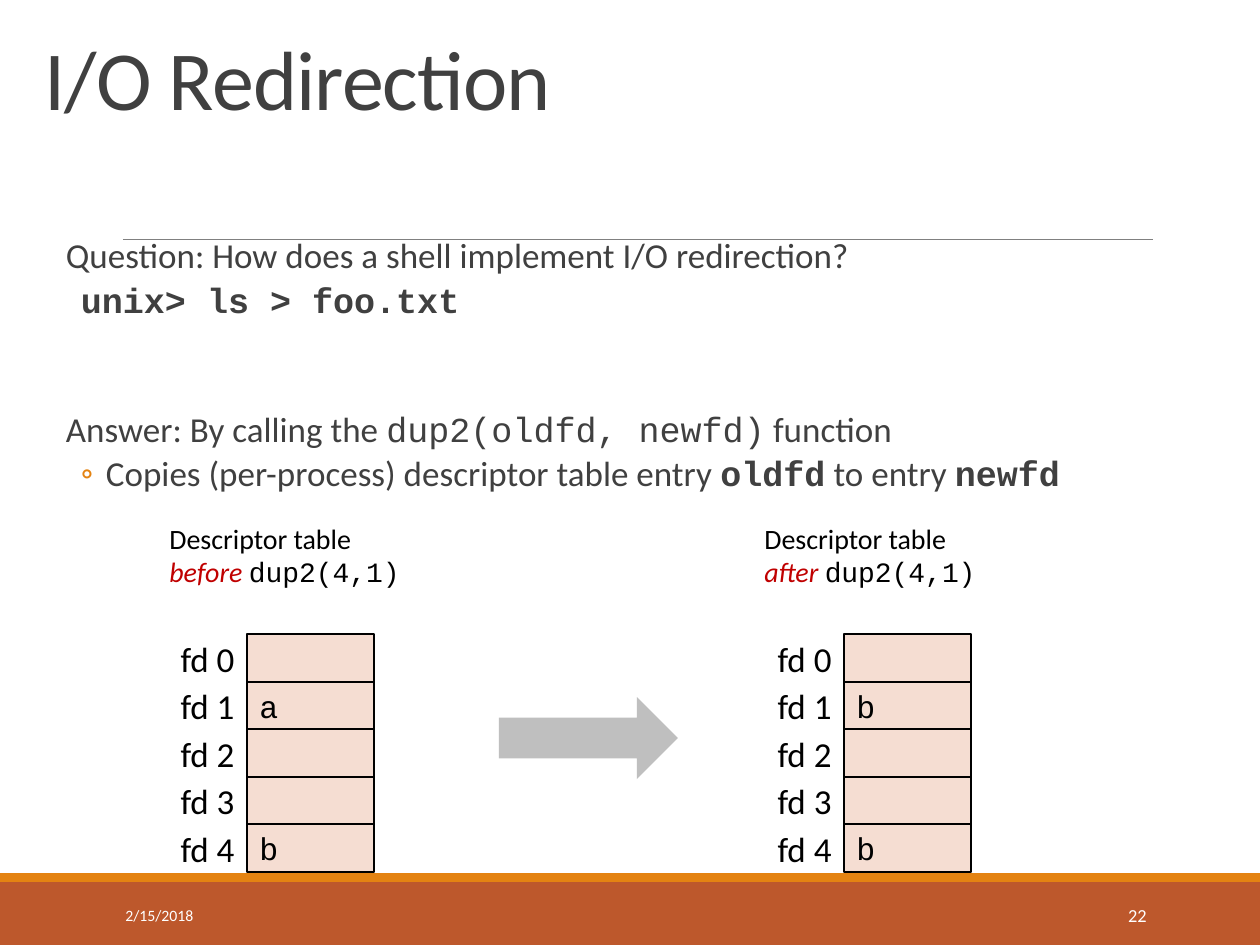
"""Build the I/O redirection slide with descriptor tables before and after dup2."""
from dataclasses import dataclass, field
from typing import Any

from lxml import etree
from pptx import Presentation
from pptx import util as u
from pptx.dml.color import RGBColor
from pptx.enum import shapes, text
from pptx.oxml.ns import qn

EMU_PER_PX = 914400 / 126


@dataclass(frozen=True)
class Theme:
    sans: str = "Calibri"
    mono: str = "Courier New"
    ink: str = "404040"
    black: str = "000000"
    white: str = "FFFFFF"
    rule: str = "808080"
    rust: str = "BD582C"
    orange: str = "E48312"
    cell: str = "F5DDD2"
    arrow: str = "BFBFBF"
    accent: str = "C00000"
    title_size: float = 48
    body_size: float = 20
    cell_size: float = 18
    caption_size: float = 16
    number_size: float = 10.5
    date_size: float = 9


T = Theme()


@dataclass(frozen=True)
class Box:
    left: int
    top: int
    width: int
    height: int

    def emu(self) -> list[int]:
        return [px(v) for v in (self.left, self.top, self.width, self.height)]


@dataclass(frozen=True)
class Run:
    text: str
    size: float = T.body_size
    color: str = T.ink
    name: str = T.sans
    bold: bool = False
    italic: bool = False
    tracking: int = 0


@dataclass(frozen=True)
class Para:
    runs: list[Run]
    format: dict[str, Any] = field(default_factory=dict)
    margin: int = 0
    indent: int = 0
    bullet: str = ""


@dataclass(frozen=True)
class DescriptorTable:
    state: str
    label_left: int
    caption_left: int
    entries: tuple[str, ...]


def px(value: float) -> int:
    return round(value * EMU_PER_PX)


def set_all(target: Any, values: dict[str, Any]) -> None:
    for key, value in values.items():
        setattr(target, key, value)


def write(sp: Any, paras: list[Para], **frame: Any) -> None:
    tf = sp.text_frame
    set_all(tf, {"word_wrap": True, "vertical_anchor": text.MSO_ANCHOR.MIDDLE} | frame)
    for i, para in enumerate(paras):
        p = tf.paragraphs[0] if i == 0 else tf.add_paragraph()
        p_pr = p._p.get_or_add_pPr()
        p_pr.set("marL", str(px(para.margin)))
        p_pr.set("indent", str(px(para.indent)))
        if para.bullet:
            color = etree.SubElement(p_pr, qn("a:buClr"))
            etree.SubElement(color, qn("a:srgbClr"), val=T.orange)
            etree.SubElement(p_pr, qn("a:buFont"), typeface=T.sans)
            etree.SubElement(p_pr, qn("a:buChar"), char=para.bullet)
        set_all(p, {"alignment": text.PP_ALIGN.LEFT} | para.format)
        for run in para.runs:
            r = p.add_run()
            r.text = run.text
            set_all(r.font, {"size": u.Pt(run.size), "name": run.name,
                             "bold": run.bold, "italic": run.italic})
            r.font.color.rgb = RGBColor.from_string(run.color)
            if run.tracking:
                r._r.get_or_add_rPr().set("spc", str(run.tracking))


def add_text(parent: Any, box: Box, paras: list[Para], **frame: Any) -> None:
    write(parent.add_textbox(*box.emu()), paras, **frame)


def add_block(parent: Any, box: Box, fill: str, line: str = "",
              kind: Any = shapes.MSO_SHAPE.RECTANGLE) -> Any:
    sp = parent.add_shape(kind, *box.emu())
    sp.shadow.inherit = False
    sp.fill.solid()
    sp.fill.fore_color.rgb = RGBColor.from_string(fill)
    if line:
        sp.line.color.rgb = RGBColor.from_string(line)
        sp.line.width = u.Pt(1)
    else:
        sp.line.fill.background()
    return sp


def add_rule(parent: Any, left: int, right: int, top: int) -> None:
    line = parent.add_connector(shapes.MSO_CONNECTOR.STRAIGHT, px(left), px(top), px(right), px(top))
    line.line.color.rgb = RGBColor.from_string(T.rule)
    line.line.width = u.Pt(0.5)
    etree.SubElement(line._element.spPr, qn("a:effectLst"))


def add_descriptor_table(parent: Any, table: DescriptorTable) -> None:
    top, total, width, row_height = 634, 238, 127, 48
    group = parent.add_group_shape().shapes
    for i, entry in enumerate(table.entries):
        row = top + round(i * total / len(table.entries))
        cell = add_block(group, Box(table.label_left + width, row, width, row_height), T.cell, T.black)
        if entry:
            write(cell, [Para([Run(entry, T.cell_size, T.black, T.mono)])])
        add_text(group, Box(table.label_left, row, width, row_height),
                 [Para([Run(f"fd {i}", color=T.black)], {"alignment": text.PP_ALIGN.RIGHT})])
    add_text(parent, Box(table.caption_left, 498, 360, 114), [
        Para([Run("Descriptor table", T.caption_size, T.black)]),
        Para([Run(f"{table.state} ", T.caption_size, T.accent, italic=True),
              Run("dup2(4,1)", T.caption_size, T.black, T.mono)]),
    ])


def add_body(parent: Any) -> None:
    main = {"line_spacing": 0.9, "space_after": u.Pt(2)}
    answer = main | {"space_before": u.Pt(48)}
    detail = {"line_spacing": 0.9, "space_before": u.Pt(2), "space_after": u.Pt(4)}
    add_text(parent, Box(53, 232, 1144, 282), [
        Para([Run("Question: How does a shell implement I/O redirection?")], main, 13),
        Para([Run("unix> ls > foo.txt", name=T.mono, bold=True)], detail, 53, -25),
        Para([Run("Answer: By calling the "), Run("dup2(oldfd, newfd)", name=T.mono),
              Run(" function")], answer, 13),
        Para([Run("Copies (per-process) descriptor table entry "),
              Run("oldfd", name=T.mono, bold=True), Run(" to entry "),
              Run("newfd", name=T.mono, bold=True)], detail, 53, -25, "◦"),
    ], vertical_anchor=text.MSO_ANCHOR.TOP, margin_left=0, margin_right=0)


def main() -> None:
    prs = Presentation()
    prs.slide_width, prs.slide_height = px(1260), px(945)
    s = prs.slides.add_slide(prs.slide_layouts[6]).shapes
    add_block(s, Box(0, 882, 1260, 63), T.rust)
    add_block(s, Box(0, 873, 1260, 9), T.orange)
    add_rule(s, 123, 1153, 239)
    add_text(s, Box(32, 29, 1046, 105),
             [Para([Run("I/O Redirection", T.title_size, tracking=-50)], {"line_spacing": 0.85})],
             vertical_anchor=text.MSO_ANCHOR.BOTTOM)
    add_body(s)
    add_text(s, Box(113, 890, 256, 50), [Para([Run("2/15/2018", T.date_size, T.white)])])
    add_text(s, Box(1023, 890, 136, 50),
             [Para([Run("22", T.number_size, T.white)], {"alignment": text.PP_ALIGN.RIGHT})])
    for table in (DescriptorTable("before", 120, 157, ("", "a", "", "", "b")),
                  DescriptorTable("after", 717, 752, ("", "b", "", "", "b"))):
        add_descriptor_table(s, table)
    add_block(s, Box(499, 697, 179, 82), T.arrow, kind=shapes.MSO_SHAPE.RIGHT_ARROW)
    prs.save("out.pptx")


if __name__ == "__main__":
    main()
